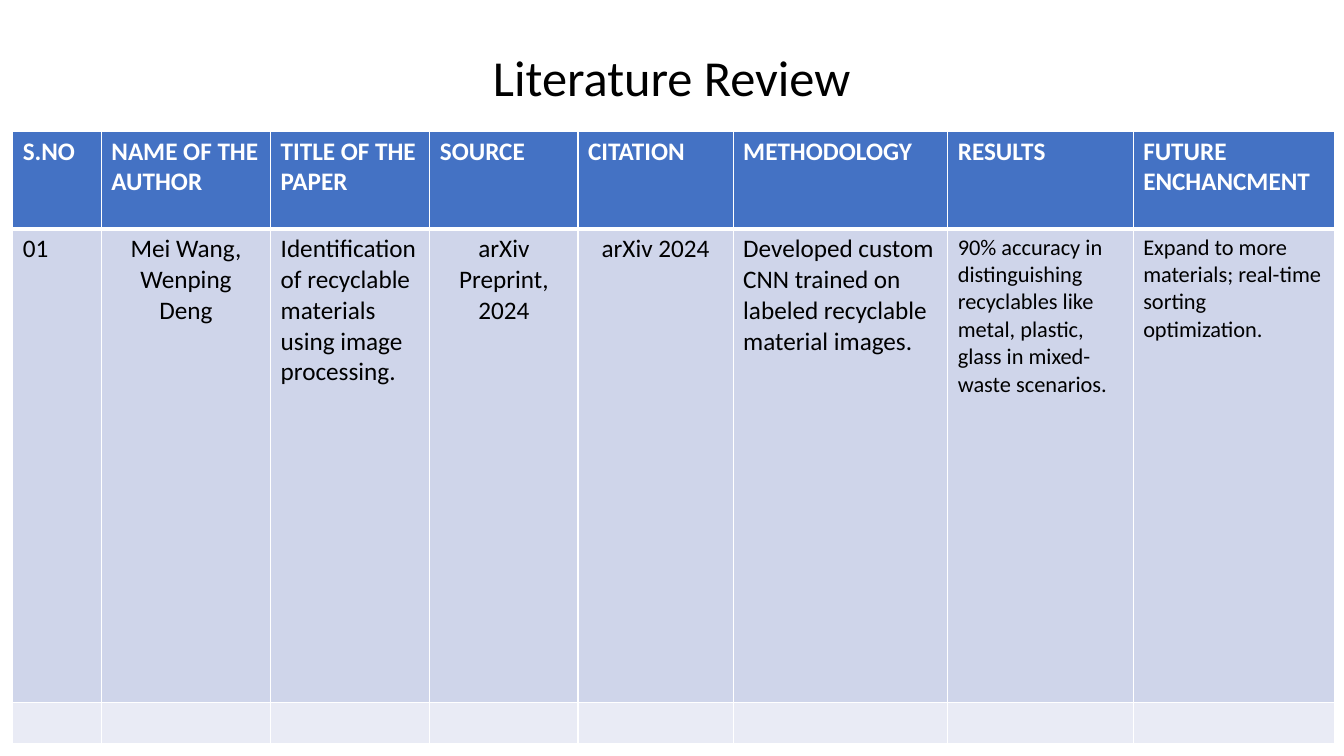
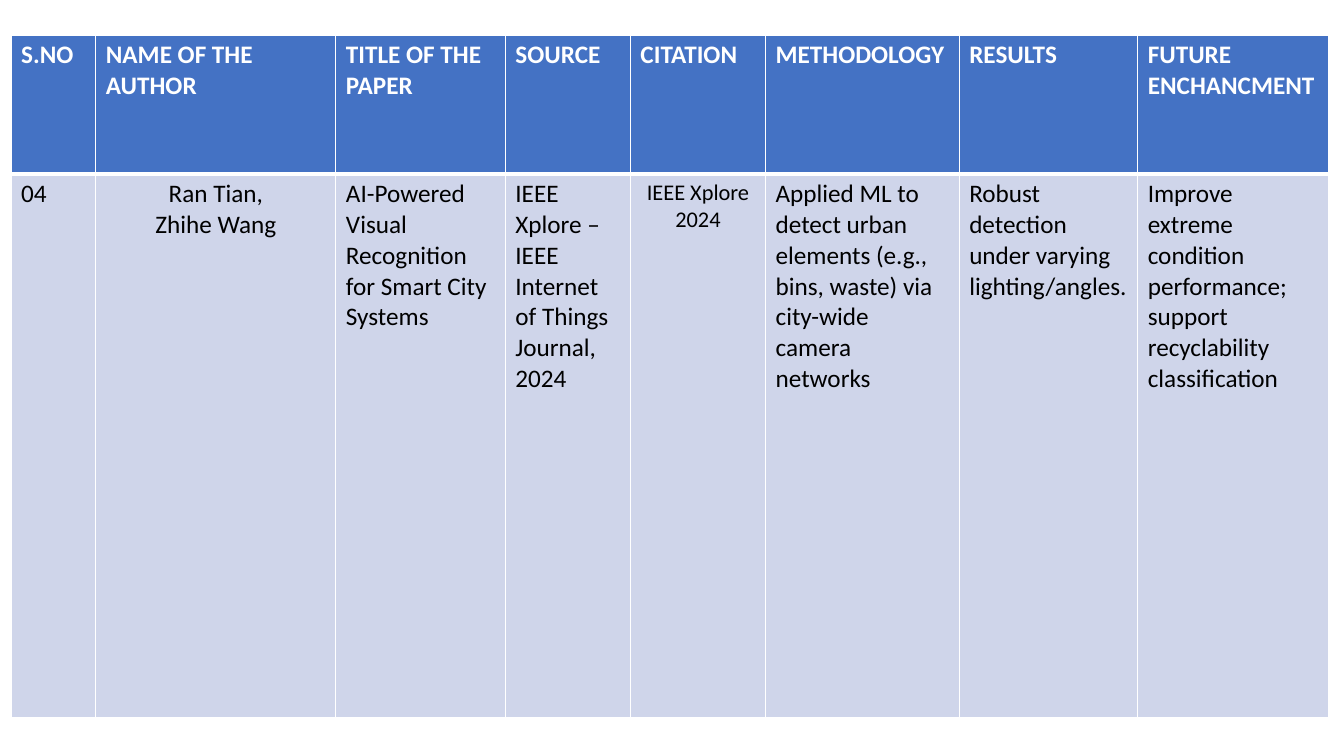
from dataclasses import dataclass

from lxml.etree import SubElement as Sub
from pptx import Presentation
from pptx.dml.color import RGBColor as Rgb
from pptx.enum.text import MSO_ANCHOR as Anchor, PP_ALIGN as Align
from pptx.oxml.ns import qn
from pptx.util import Cm, Pt


@dataclass(frozen=True)
class Theme:
    """Colours, font and type sizes shared by the slides."""
    font: str = "Calibri"
    head: str = "4472C4"
    odd: str = "CFD5EA"
    even: str = "E9EBF5"
    white: str = "FFFFFF"
    black: str = "000000"
    title: int = 36
    text: int = 18
    small: int = 16
    thin: int = 1
    thick: int = 3


@dataclass(frozen=True)
class Box:
    """A place on the slide, in centimetres."""
    left: float
    top: float
    width: float
    height: float


@dataclass(frozen=True)
class Entry:
    """The text of one body cell, one line per paragraph."""
    text: str
    mid: bool = False
    small: bool = False


THEME = Theme()
HEADS = ("S.NO", "NAME OF THE AUTHOR", "TITLE OF THE PAPER", "SOURCE",
         "CITATION", "METHODOLOGY", "RESULTS", "FUTURE ENCHANCMENT")
FIRST = (
    Entry("01"),
    Entry("Mei Wang, Wenping Deng", mid=True),
    Entry("Identification of recyclable materials using image processing."),
    Entry("arXiv Preprint, 2024", mid=True),
    Entry("arXiv 2024", mid=True),
    Entry("Developed custom CNN trained on labeled recyclable material images."),
    Entry("90% accuracy in distinguishing recyclables like metal, plastic, "
          "glass in mixed-waste scenarios.", small=True),
    Entry("Expand to more materials; real-time sorting optimization.", small=True),
)
FOURTH = (
    Entry("04"),
    Entry("Ran Tian,\nZhihe Wang", mid=True),
    Entry("AI-Powered Visual Recognition for Smart City Systems"),
    Entry("IEEE Xplore – IEEE Internet of Things Journal, 2024"),
    Entry("IEEE Xplore\n2024", mid=True, small=True),
    Entry("Applied ML to detect urban elements (e.g., bins, waste) via "
          "city-wide camera networks"),
    Entry("Robust detection under varying lighting/angles."),
    Entry("Improve extreme condition performance; support recyclability "
          "classification"),
)


def write(frame, text, size, color, bold=False, align=Align.LEFT):
    """Write each line of the text as a paragraph with one run."""
    for i, line in enumerate(text.split("\n")):
        para = frame.add_paragraph() if i else frame.paragraphs[0]
        para.alignment = align
        run = para.add_run()
        run.text = line
        font = run.font
        font.name, font.size, font.bold = THEME.font, Pt(size), bold
        font.color.rgb = Rgb.from_string(color)


def paint(cell, fill, top, base):
    """Fill a cell and draw its white borders."""
    props = cell._tc.get_or_add_tcPr()
    for side, width in zip("LRTB", (THEME.thin, THEME.thin, top, base)):
        line = Sub(props, qn(f"a:ln{side}"), w=str(Pt(width)))
        solid = Sub(line, qn("a:solidFill"))
        Sub(solid, qn("a:srgbClr"), val=THEME.white)
    cell.fill.solid()
    cell.fill.fore_color.rgb = Rgb.from_string(fill)


def share(parts, sizes, total):
    """Split a length among rows or columns by weight."""
    for part, size in zip(parts, sizes):
        yield part, Cm(total * size / sum(sizes))


def add_title(slide, text, box):
    """Place and format the slide title."""
    title = slide.shapes.title
    title.left, title.top = Cm(box.left), Cm(box.top)
    title.width, title.height = Cm(box.width), Cm(box.height)
    frame = title.text_frame
    frame.vertical_anchor = Anchor.TOP
    write(frame, text, THEME.title, THEME.black, align=Align.CENTER)


def add_grid(slide, box, cols, rows, body):
    """Draw the review table, with blank rows after the body."""
    frame = slide.shapes.add_table(len(rows), len(cols), Cm(box.left), Cm(box.top),
                                   Cm(box.width), Cm(box.height))
    table = frame.table
    for col, width in share(table.columns, cols, box.width):
        col.width = width
    for row, height in share(table.rows, rows, box.height):
        row.height = height
    for r, row in enumerate(table.rows):
        fill = THEME.head if r == 0 else THEME.odd if r % 2 else THEME.even
        top = THEME.thick if r == 1 else THEME.thin
        base = THEME.thick if r == 0 else THEME.thin
        for cell in row.cells:
            paint(cell, fill, top, base)
    for c, (head, entry) in enumerate(zip(HEADS, body)):
        write(table.cell(0, c).text_frame, head, THEME.text, THEME.white, bold=True)
        write(table.cell(1, c).text_frame, entry.text,
              THEME.small if entry.small else THEME.text, THEME.black,
              align=Align.CENTER if entry.mid else Align.LEFT)


def main():
    """Build both slides and save them."""
    deck = Presentation()
    deck.slide_width, deck.slide_height = Cm(33.87), Cm(19.05)
    titled, blank = deck.slide_layouts[5], deck.slide_layouts[6]

    slide = deck.slides.add_slide(titled)
    add_title(slide, "Literature Review", Box(11.53, 1.03, 10.8, 2.2))
    add_grid(slide, Box(0.32, 3.3, 33.32, 15.4),
             (0.88, 1.68, 1.58, 1.47, 1.54, 2.13, 1.84, 2),
             (0.97, 4.7, 0.39), FIRST)

    slide = deck.slides.add_slide(blank)
    add_grid(slide, Box(0.28, 0.88, 33.2, 17.2),
             (0.84, 2.38, 1.68, 1.24, 1.34, 1.92, 1.77, 1.89),
             (1.38, 5.4), FOURTH)
    deck.save("out.pptx")


if __name__ == "__main__":
    main()
